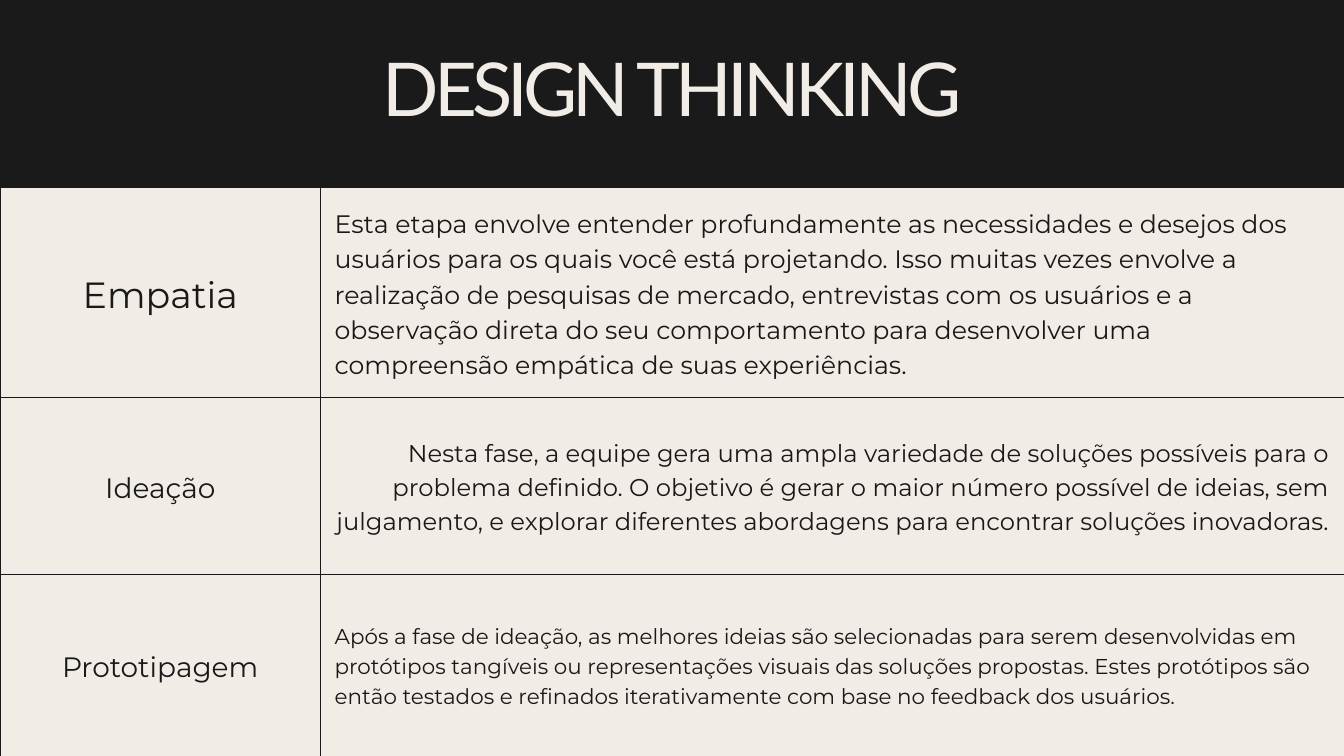
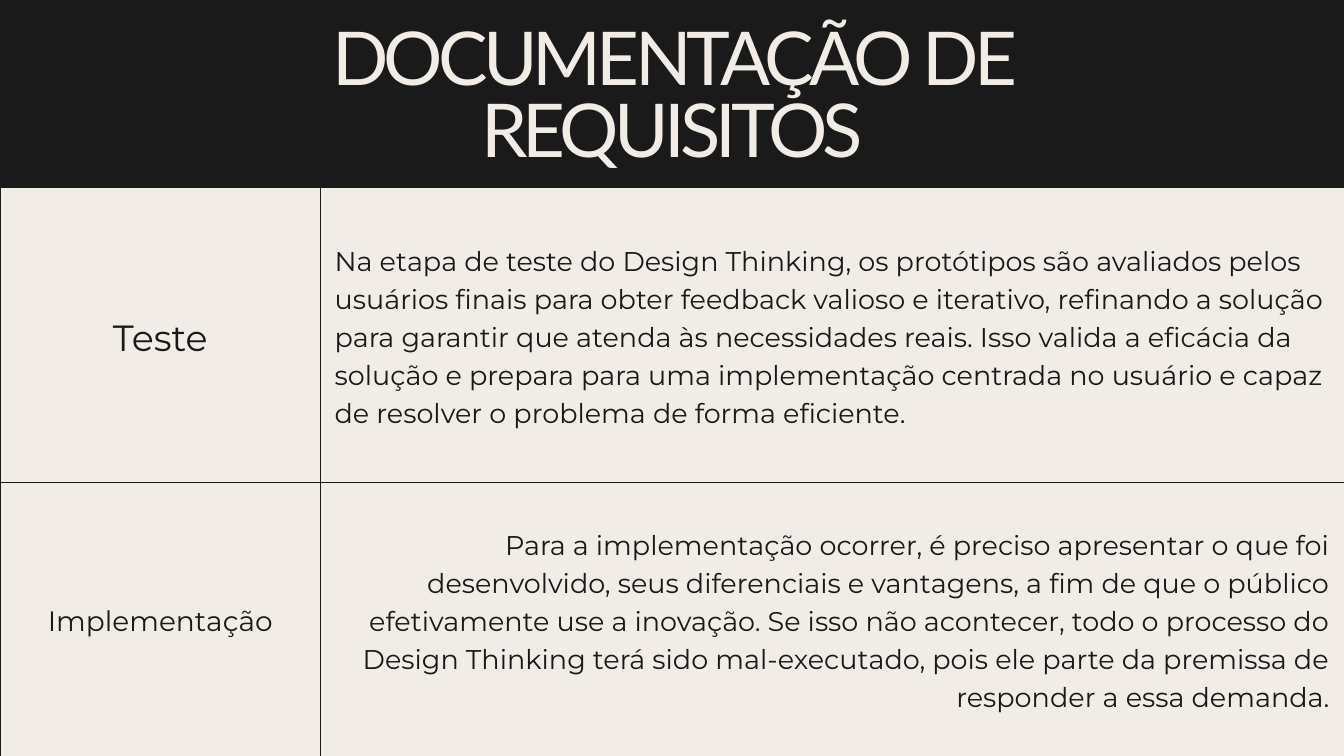
from dataclasses import dataclass

from lxml.etree import SubElement
from pptx import Presentation
from pptx.dml.color import RGBColor as Rgb
from pptx.enum.shapes import MSO_SHAPE as Preset
from pptx.enum.text import MSO_ANCHOR as Anchor, MSO_AUTO_SIZE as AutoSize, PP_ALIGN as Align
from pptx.oxml.ns import qn
from pptx.util import Inches, Pt

# Shared style: lengths in inches, text in points
COLORS = {"band": "1A1A1A", "ink": "191919", "cream": "F1ECE6"}
TITLE_FONT, BODY_FONT = "Lato", "Montserrat"
PAGE_WIDTH, PAGE_HEIGHT = 20, 11.25
BAND_HEIGHT = 2.8
COLUMNS = (4.77, 15.23)
TITLE_WIDTH = 10.45
CELL_MARGIN = 0.21
BORDER_WIDTH = 0.75
TITLE_SIZE = 79.5
BODY_SPACING = 1.4


@dataclass(frozen=True)
class Stage:
    name: str
    text: str
    height: float
    name_size: float
    text_size: float
    align: Align = Align.LEFT


@dataclass(frozen=True)
class Page:
    title: str
    title_top: float
    title_height: float
    stages: tuple[Stage, ...]
    title_spacing: float = 0.85


PAGES = (
    Page("DESIGN THINKING", 1.02, 1.04, (
        Stage("Empatia",
              "Esta etapa envolve entender profundamente as necessidades e desejos dos usuários "
              "para os quais você está projetando. Isso muitas vezes envolve a realização de "
              "pesquisas de mercado, entrevistas com os usuários e a observação direta do seu "
              "comportamento para desenvolver uma compreensão empática de suas experiências.",
              3.11, 39, 27),
        Stage("Ideação",
              "Nesta fase, a equipe gera uma ampla variedade de soluções possíveis para o "
              "problema definido. O objetivo é gerar o maior número possível de ideias, sem "
              "julgamento, e explorar diferentes abordagens para encontrar soluções inovadoras.",
              2.63, 30, 26, Align.RIGHT),
        Stage("Prototipagem",
              "Após a fase de ideação, as melhores ideias são selecionadas para serem "
              "desenvolvidas em protótipos tangíveis ou representações visuais das soluções "
              "propostas. Estes protótipos são então testados e refinados iterativamente com "
              "base no feedback dos usuários.",
              2.71, 30, 23),
    )),
    # Two title lines need room between the cedilla and the capitals below it
    Page("DOCUMENTAÇÃO DE REQUISITOS", 0.42, 2.2, (
        Stage("Teste",
              "Na etapa de teste do Design Thinking, os protótipos são avaliados pelos usuários "
              "finais para obter feedback valioso e iterativo, refinando a solução para garantir "
              "que atenda às necessidades reais. Isso valida a eficácia da solução e prepara para "
              "uma implementação centrada no usuário e capaz de resolver o problema de forma "
              "eficiente.",
              4.38, 39, 29),
        Stage("Implementação",
              "Para a implementação ocorrer, é preciso apresentar o que foi desenvolvido, seus "
              "diferenciais e vantagens, a fim de que o público efetivamente use a inovação. Se "
              "isso não acontecer, todo o processo do Design Thinking terá sido mal-executado, "
              "pois ele parte da premissa de responder a essa demanda.",
              4.07, 30, 29, Align.RIGHT),
    ), title_spacing=0.97),
)


def color(name: str) -> Rgb:
    return Rgb.from_string(COLORS[name])


def write(frame, text: str, *, size: float, font: str = BODY_FONT, ink: str = "ink",
          align: Align = Align.CENTER, spacing: float = BODY_SPACING, tracking: float = 0) -> None:
    para = frame.paragraphs[0]
    para.alignment = align
    para.line_spacing = Pt(round(size * spacing, 1))
    span = para.add_run()
    span.text = text
    span.font.name, span.font.size = font, Pt(size)
    span.font.color.rgb = color(ink)
    if tracking:
        span.font._element.set("spc", str(round(tracking * 100)))


def add_header(slide, page: Page) -> None:
    title = slide.shapes.title
    # The band goes behind the title
    band = slide.shapes.add_shape(Preset.RECTANGLE, 0, 0, Inches(PAGE_WIDTH), Inches(BAND_HEIGHT))
    band.shadow.inherit = False
    band.fill.solid()
    band.fill.fore_color.rgb = color("band")
    band.line.fill.background()
    title.element.addprevious(band.element)

    title.left, title.top = Inches((PAGE_WIDTH - TITLE_WIDTH) / 2), Inches(page.title_top)
    title.width, title.height = Inches(TITLE_WIDTH), Inches(page.title_height)
    frame = title.text_frame
    frame.margin_left = frame.margin_right = frame.margin_top = frame.margin_bottom = 0
    frame.vertical_anchor = Anchor.TOP
    frame.word_wrap, frame.auto_size = True, AutoSize.NONE
    write(frame, page.title, size=TITLE_SIZE, font=TITLE_FONT, ink="cream",
          spacing=page.title_spacing, tracking=-5.2)


def format_cell(cell, first_row: bool, last_column: bool) -> None:
    cell.vertical_anchor = Anchor.MIDDLE
    margin = Inches(CELL_MARGIN)
    cell.margin_left = cell.margin_right = cell.margin_top = cell.margin_bottom = margin
    # Outer edges on the top and right blend into the page
    edges = {"lnL": "ink", "lnR": "cream" if last_column else "ink",
             "lnT": "cream" if first_row else "ink", "lnB": "ink"}
    properties = cell._tc.get_or_add_tcPr()
    for tag, name in edges.items():
        line = SubElement(properties, qn(f"a:{tag}"), w=str(Pt(BORDER_WIDTH)))
        fill = SubElement(line, qn("a:solidFill"))
        SubElement(fill, qn("a:srgbClr"), val=COLORS[name])
    cell.fill.background()


def add_stages(slide, stages: tuple[Stage, ...]) -> None:
    table = slide.shapes.add_table(len(stages), len(COLUMNS), 0, Inches(BAND_HEIGHT),
                                   Inches(PAGE_WIDTH), Inches(PAGE_HEIGHT - BAND_HEIGHT)).table
    table.first_row = table.horz_banding = False
    for column, width in zip(table.columns, COLUMNS):
        column.width = Inches(width)
    for index, stage in enumerate(stages):
        table.rows[index].height = Inches(stage.height)
        name_cell, text_cell = table.rows[index].cells
        format_cell(name_cell, index == 0, False)
        format_cell(text_cell, index == 0, True)
        write(name_cell.text_frame, stage.name, size=stage.name_size)
        write(text_cell.text_frame, stage.text, size=stage.text_size, align=stage.align)


def main() -> None:
    deck = Presentation()
    deck.slide_width, deck.slide_height = Inches(PAGE_WIDTH), Inches(PAGE_HEIGHT)
    title_only = deck.slide_layouts.get_by_name("Title Only")
    for page in PAGES:
        slide = deck.slides.add_slide(title_only)
        slide.background.fill.solid()
        slide.background.fill.fore_color.rgb = color("cream")
        add_header(slide, page)
        add_stages(slide, page.stages)
    deck.save("out.pptx")


if __name__ == "__main__":
    main()
